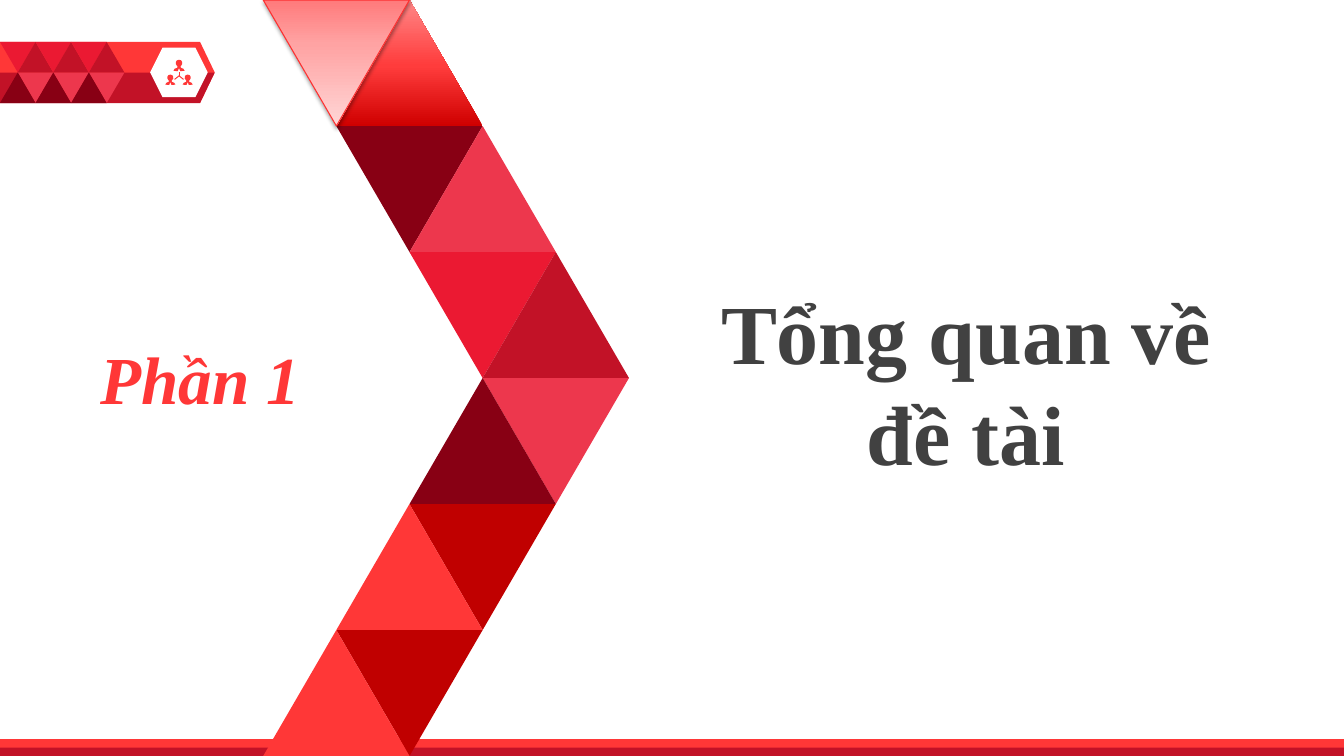
from copy import deepcopy
from lxml.etree import SubElement
from pptx import Presentation
from pptx.dml.color import RGBColor
from pptx.enum.shapes import MSO_CONNECTOR, MSO_SHAPE
from pptx.enum.text import MSO_ANCHOR, MSO_AUTO_SIZE, PP_ALIGN
from pptx.oxml.ns import qn
from pptx.util import Pt

RED, CRIMSON, SCARLET = "FF3737", "C21227", "EB1932"
ROSE, MAROON, DARK_RED = "ED374D", "880014", "C00000"


def paint(shape, color, middle=None, middle_position=0.5, end=None):
    shape.shadow.inherit = False
    shape.line.fill.background()
    if middle is None:
        shape.fill.solid()
        shape.fill.fore_color.rgb = RGBColor.from_string(color)
        return
    shape.fill.gradient()
    shape.fill.gradient_angle = 90
    stop_list = next(shape._element.iter(qn("a:gsLst")))
    stop_list.insert(1, deepcopy(stop_list[0]))
    stops = zip(shape.fill.gradient_stops, (color, middle, end), (0, middle_position, 1))
    for stop, stop_color, position in stops:
        stop.color.rgb = RGBColor.from_string(stop_color)
        stop.position = position


def write_text(shape, text, left, top, width, height, size, color, align, italic=False):
    shape.left, shape.top = Pt(left), Pt(top)
    shape.width, shape.height = Pt(width), Pt(height)
    frame = shape.text_frame
    frame.word_wrap = True
    frame.auto_size = MSO_AUTO_SIZE.NONE
    frame.vertical_anchor = MSO_ANCHOR.TOP
    paragraph = frame.paragraphs[0]
    paragraph.alignment = align
    run = paragraph.add_run()
    run.text = text
    run.font.name = "Times New Roman"
    run.font.size = Pt(size)
    run.font.bold = True
    run.font.italic = italic
    run.font.color.rgb = RGBColor.from_string(color)


presentation = Presentation()
presentation.slide_width, presentation.slide_height = Pt(960), Pt(540)
slide = presentation.slides.add_slide(presentation.slide_layouts[5])
shapes = slide.shapes

for kind, left, top, width, height, color in [
    (MSO_SHAPE.RECTANGLE, 0, 528, 960, 12, RED),
    (MSO_SHAPE.RECTANGLE, 0, 534, 960, 6, CRIMSON),
    (MSO_SHAPE.PENTAGON, 0, 30, 153.4, 43.6, RED),
]:
    shape = shapes.add_shape(kind, Pt(left), Pt(top), Pt(width), Pt(height))
    paint(shape, color)
shape.adjustments[0] = 0.24

builder = shapes.build_freeform(0, Pt(51.8))
builder.add_line_segments(
    [(Pt(153.4), Pt(51.8)), (Pt(142.9), Pt(73.6)), (0, Pt(73.6))], close=True
)
paint(builder.convert_to_shape(), CRIMSON)

hexagon = shapes.add_shape(MSO_SHAPE.HEXAGON, Pt(107.2), Pt(34), Pt(41.2), Pt(35.4))
paint(hexagon, "FFFFFF")

half_person = [(0, 0), (1.4, 0.4), (2, 1.4), (2.1, 2.8), (1.4, 3.8), (0.9, 4.6),
               (1.2, 5.2), (2.9, 5.9), (3.6, 7.2), (0.8, 7.4), (0.2, 5.8)]
person = half_person + [(-x, y) for x, y in reversed(half_person[1:])]
for center, top, scale in [(127.9, 42.7, 1.1), (121.7, 53.3, 1), (134.1, 53.3, 1)]:
    outline = [(Pt(center + x * scale), Pt(top + y * scale)) for x, y in person]
    builder = shapes.build_freeform(*outline[0])
    builder.add_line_segments(outline[1:], close=True)
    paint(builder.convert_to_shape(), RED)
for x, y in [(127.9, 51.1), (124.7, 56.7), (131.1, 56.7)]:
    branch = shapes.add_connector(
        MSO_CONNECTOR.STRAIGHT, Pt(127.9), Pt(54.2), Pt(x), Pt(y)
    )
    branch.line.width = Pt(0.7)
    branch.line.color.rgb = RGBColor.from_string(RED)
    SubElement(branch._element.spPr, qn("a:effectLst"))

triangles = []
for pair in range(3):
    for half_steps, row, down, color in [
        (0, 0, True, SCARLET), (1, 0, False, CRIMSON),
        (1, 1, True, ROSE), (0, 1, False, MAROON),
    ]:
        left = 12.7 * (2 * pair + half_steps)
        triangles.append((left, 30 + 21.8 * row, 25.4, 21.8, down, [color]))

bright_gradient = ["CF0000", "FF3C3C", 0.48, "FF8787"]
pale_gradient = ["FF7A7B", "FFA3A3", 0.35, "FFD6D6"]
for column, row, down, colors in [
    (1, 0, False, bright_gradient), (1, 1, True, [MAROON]),
    (0, 0, True, pale_gradient), (2, 1, False, [ROSE]),
    (2, 2, True, [SCARLET]), (3, 2, False, [CRIMSON]),
    (3, 3, True, [ROSE]), (2, 3, False, [MAROON]),
    (2, 4, True, [DARK_RED]), (1, 4, False, [RED]),
    (1, 5, True, [DARK_RED]), (0, 5, False, [RED]),
]:
    triangles.append((188 + 52.25 * column, 90 * row, 104.5, 90, down, colors))

for left, top, width, height, down, colors in triangles:
    triangle = shapes.add_shape(
        MSO_SHAPE.ISOSCELES_TRIANGLE, Pt(left), Pt(top), Pt(width), Pt(height)
    )
    triangle.rotation = 180 if down else 0
    paint(triangle, *colors)
    if colors is pale_gradient:
        triangle.line.color.rgb = RGBColor.from_string("FD3030")
        triangle.line.width = Pt(0.75)
        effects = triangle._element.spPr.find(qn("a:effectLst"))
        shadow = SubElement(
            effects, qn("a:outerShdw"), blurRad=str(Pt(3.1)), dist=str(Pt(1.6)),
            dir="5400000", rotWithShape="0",
        )
        shadow_color = SubElement(shadow, qn("a:srgbClr"), val="000000")
        SubElement(shadow_color, qn("a:alpha"), val="37000")

write_text(
    shapes.add_textbox(0, 0, 0, 0), "Phần 1", left=64.8, top=237.6, width=296.6,
    height=65, size=48, color=RED, align=PP_ALIGN.LEFT, italic=True,
)
write_text(
    shapes.title, "Tổng quan về đề tài", left=476.6, top=196.6, width=427,
    height=152.6, size=60, color="414141", align=PP_ALIGN.CENTER,
)

presentation.save("out.pptx")
